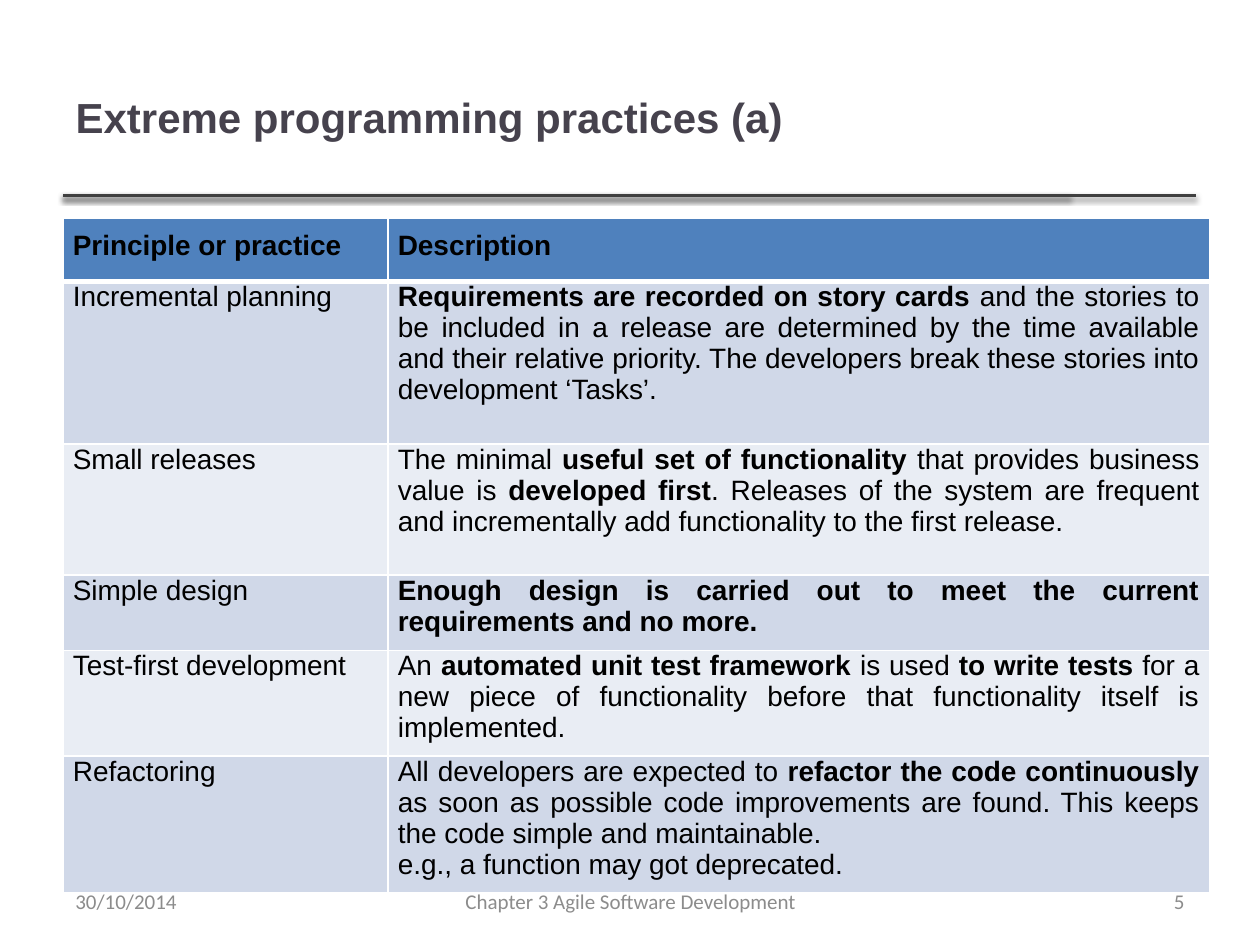
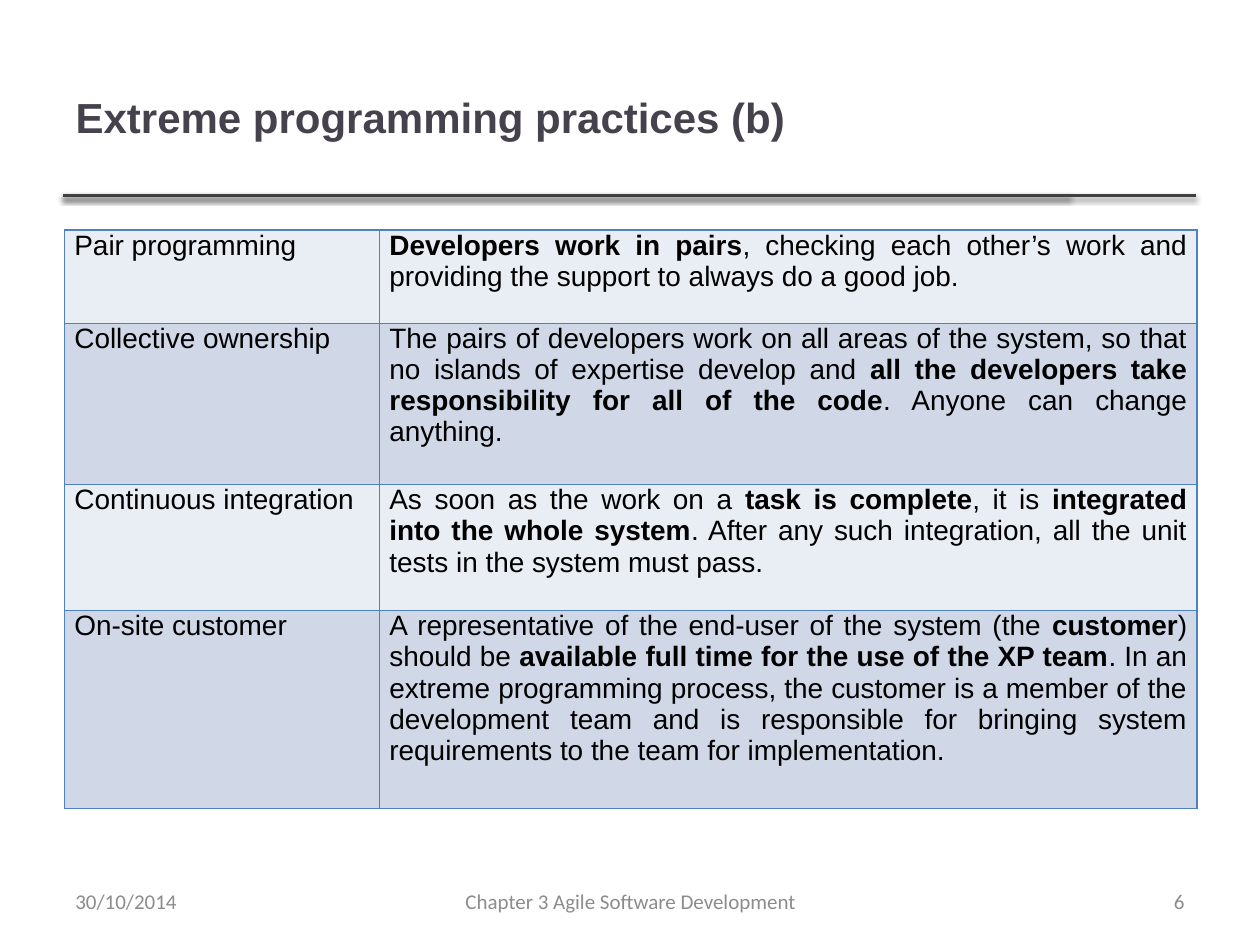
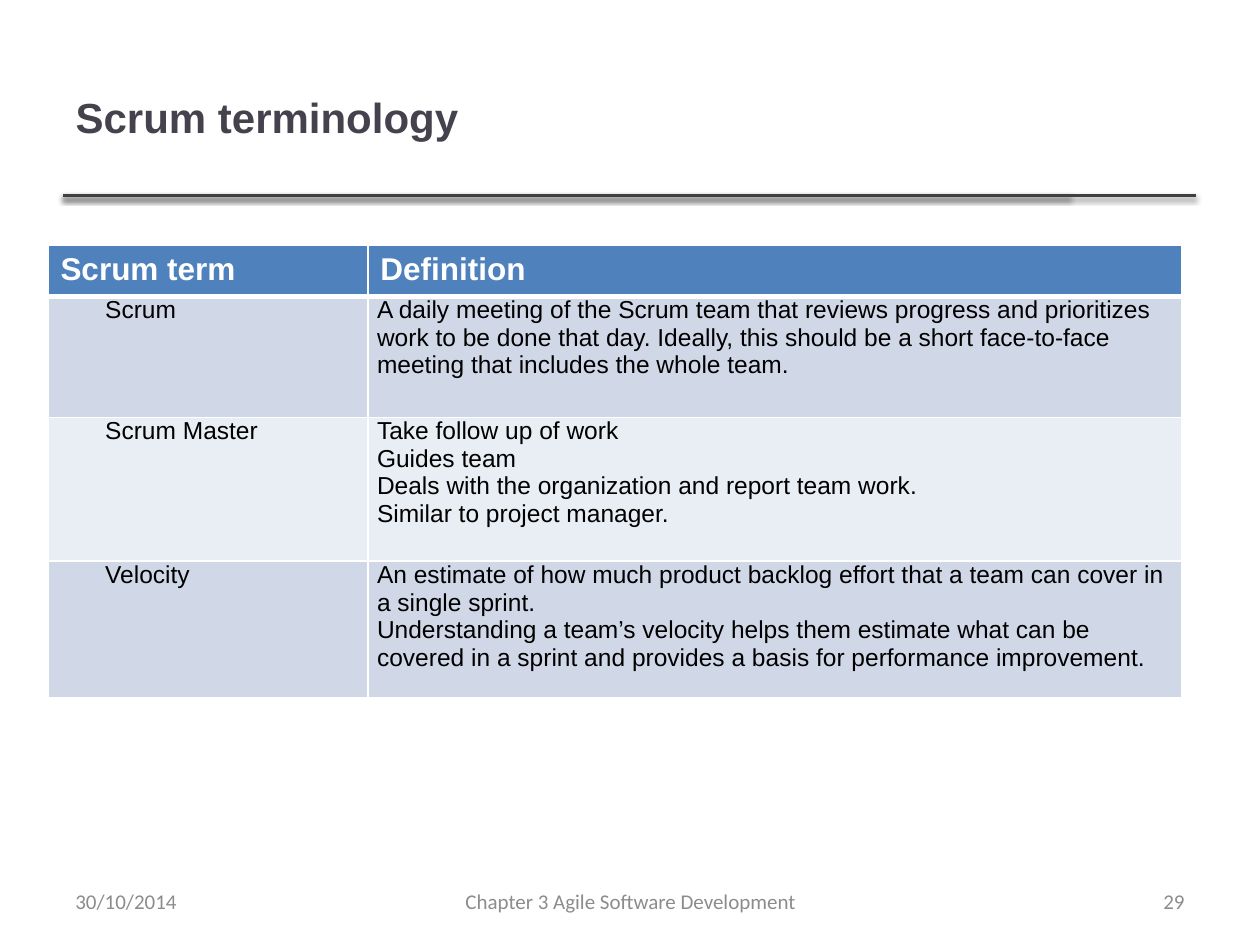
from lxml import etree
from pptx import Presentation
from pptx import util as u
from pptx.dml.color import RGBColor
from pptx.enum import shapes, text
from pptx.oxml import ns

COLORS = {
    "title": "46424D", "rule": "404040", "footer": "8C8C8C", "header": "4F81BD",
    "dark_band": "D0D8E8", "light_band": "E9EDF4", "black": "000000", "white": "FFFFFF",
}
LEFT, CENTER, RIGHT, JUSTIFY = (
    text.PP_ALIGN.LEFT, text.PP_ALIGN.CENTER, text.PP_ALIGN.RIGHT, text.PP_ALIGN.JUSTIFY)
TIGHT = (0.2, 0, 0.2, 0.05)

PRACTICES_A = [
    ("Principle or practice", "Description"),
    ("Incremental planning",
     "**Requirements are recorded on story cards **and the stories to be included in a release "
     "are determined by the time available and their relative priority. The developers break "
     "these stories into development ‘Tasks’."),
    ("Small releases",
     "The minimal **useful set of functionality **that provides business value is** developed "
     "first**. Releases of the system are frequent and incrementally add functionality to the "
     "first release."),
    ("Simple design",
     "**Enough design is carried out to meet the current requirements and no more.**"),
    ("Test-first development",
     "An **automated unit test framework** is used **to write tests** for a new piece of "
     "functionality before that functionality itself is implemented."),
    ("Refactoring",
     "All developers are expected to **refactor the code continuously **as soon as possible "
     "code improvements are found. This keeps the code simple and maintainable.\n"
     "e.g., a function may got deprecated."),
]
PRACTICES_B = [
    ("Pair programming",
     "**Developers work in pairs**, checking each other’s work and providing the support to "
     "always do a good job."),
    ("Collective ownership",
     "The pairs of developers work on all areas of the system, so that no islands of expertise "
     "develop and **all the developers take responsibility for all of the code**. Anyone can "
     "change anything."),
    ("Continuous integration",
     "As soon as the work on a **task is complete**, it is **integrated into the whole "
     "system**. After any such integration, all the unit tests in the system must pass."),
    ("On-site customer",
     "A representative of the end-user of the system (the **customer**) should be **available "
     "full time for the use of the XP team**. In an extreme programming process, the customer "
     "is a member of the development team and is responsible for bringing system requirements "
     "to the team for implementation."),
]
SCRUM_TERMS = [
    ("Scrum term", "Definition"),
    ("Scrum",
     "A daily meeting of the Scrum team that reviews progress and prioritizes work to be done "
     "that day. Ideally, this should be a short face-to-face meeting that includes the whole "
     "team."),
    ("Scrum Master",
     "Take follow up of work\nGuides team\nDeals with the organization and report team work.\n"
     "Similar to project manager."),
    ("Velocity",
     "An estimate of how much product backlog effort that a team can cover in a single sprint.\n"
     "Understanding a team’s velocity helps them estimate what can be covered in a sprint and "
     "provides a basis for performance improvement."),
]


class Deck:
    """Holds the shared style and the slide being built."""

    def __init__(self):
        self.deck = Presentation()
        self.deck.slide_width, self.deck.slide_height = u.Cm(25.4), u.Cm(19.05)
        self.slide = None

    def style(self, font, size, color, bold=False, face="Arial"):
        font.name, font.size, font.bold = face, u.Pt(size), bold
        font.color.rgb = RGBColor.from_string(COLORS[color])

    def start(self, title, number):
        self.slide = self.deck.slides.add_slide(self.deck.slide_layouts[5])
        for end in (21.56, 24.1):
            self.rule(1.27, end, 3.94)
        self.title(title)
        self.footer("30/10/2014", 1.27, 5.92, LEFT)
        self.footer("Chapter 3 Agile Software Development", 8.69, 8.05, CENTER)
        self.footer(str(number), 18.21, 5.92, RIGHT)

    def title(self, words):
        heading = self.slide.shapes.title
        heading.left, heading.top = u.Cm(1.27), u.Cm(0.76)
        heading.width, heading.height = u.Cm(20.27), u.Cm(3.18)
        heading.text_frame.text = words
        heading.text_frame.vertical_anchor = text.MSO_ANCHOR.MIDDLE
        line = heading.text_frame.paragraphs[0]
        line.alignment = LEFT
        self.style(line.runs[0].font, 24, "title", bold=True)

    def rule(self, start, end, height):
        rule = self.slide.shapes.add_connector(
            shapes.MSO_CONNECTOR.STRAIGHT, u.Cm(start), u.Cm(height), u.Cm(end), u.Cm(height))
        rule.line.color.rgb = RGBColor.from_string(COLORS["rule"])
        rule.line.width = u.Pt(2)
        effects = etree.SubElement(rule._element.spPr, ns.qn("a:effectLst"))
        shadow = etree.SubElement(
            effects, ns.qn("a:outerShdw"), blurRad=str(u.Pt(3.1)), dist=str(u.Pt(1.6)),
            dir="5400000", rotWithShape="0")
        shade = etree.SubElement(shadow, ns.qn("a:srgbClr"), val=COLORS["black"])
        etree.SubElement(shade, ns.qn("a:alpha"), val="38000")

    def footer(self, words, left, width, align):
        footer = self.slide.shapes.add_textbox(u.Cm(left), u.Cm(17.65), u.Cm(width), u.Cm(1.02))
        frame = footer.text_frame
        frame.word_wrap = True
        frame.vertical_anchor = text.MSO_ANCHOR.MIDDLE
        frame.text = words
        frame.paragraphs[0].alignment = align
        self.style(frame.paragraphs[0].runs[0].font, 12, "footer", face="Calibri")

    def border(self, cell, sides, color):
        props = cell._tc.get_or_add_tcPr()
        for side, points in sides.items():
            edge = etree.SubElement(props, ns.qn("a:ln" + side), w=str(u.Pt(points)))
            fill = etree.SubElement(edge, ns.qn("a:solidFill"))
            etree.SubElement(fill, ns.qn("a:srgbClr"), val=COLORS[color])

    def fill_cell(self, cell, words, margins, align, size, color, bold, indent):
        (cell.margin_left, cell.margin_top,
         cell.margin_right, cell.margin_bottom) = map(u.Cm, margins)
        for index, line in enumerate(words.split("\n")):
            frame = cell.text_frame
            paragraph = frame.add_paragraph() if index else frame.paragraphs[0]
            paragraph.alignment = align
            if indent:
                paragraph._p.get_or_add_pPr().set("indent", str(u.Cm(indent)))
            for part, phrase in enumerate(line.split("**")):
                if phrase:
                    run = paragraph.add_run()
                    run.text = phrase
                    self.style(run.font, size, color, bold or part % 2 == 1)

    def table(self, entries, left, top, columns, heights, size=16, align=JUSTIFY,
              margins=TIGHT, indent=0, edge="white", header=None):
        grid = self.slide.shapes.add_table(
            len(entries), len(columns), u.Cm(left), u.Cm(top),
            u.Cm(sum(columns)), u.Cm(sum(heights))).table
        grid.first_row = header is not None
        for column, width in zip(grid.columns, columns):
            column.width = u.Cm(width)
        for row, (entry, height) in enumerate(zip(entries, heights)):
            grid.rows[row].height = u.Cm(height)
            heading = header is not None and row == 0
            band = "header" if heading else "dark_band" if row % 2 else "light_band"
            sides = {"L": 1, "R": 1, "T": 3 if header and row == 1 else 1,
                     "B": 3 if heading else 1}
            for column, words in enumerate(entry):
                cell = grid.cell(row, column)
                self.border(cell, sides, edge)
                cell.fill.solid()
                cell.fill.fore_color.rgb = RGBColor.from_string(COLORS[band])
                look = dict(margins=margins, size=size, color="black", bold=False,
                            indent=0 if column else indent)
                if heading:
                    look.update(header, bold=True, indent=0)
                self.fill_cell(cell, words, align=align, **look)


def main():
    deck = Deck()
    deck.start("Extreme programming practices (a)", 5)
    deck.table(PRACTICES_A, 1.27, 4.4, (6.55, 16.56), (1.27, 3.28, 2.64, 1.52, 2.13, 2.74),
               header={"margins": (0.2, 0.25, 0.2, 0.25)})
    deck.start("Extreme programming practices (b)", 6)
    deck.table(PRACTICES_B, 1.3, 4.64, (6.35, 16.48), (1.88, 3.25, 2.54, 3.99), edge="header")
    deck.start("Scrum terminology", 29)
    deck.table(SCRUM_TERMS, 0.97, 4.95, (6.45, 16.41), (1.02, 2.44, 2.9, 2.76), size=14,
               align=LEFT, margins=(0.18, 0, 0.18, 0), indent=0.97,
               header={"margins": (0.25, 0.13, 0.25, 0.13), "size": 18, "color": "white"})
    deck.deck.save("out.pptx")


if __name__ == "__main__":
    main()
